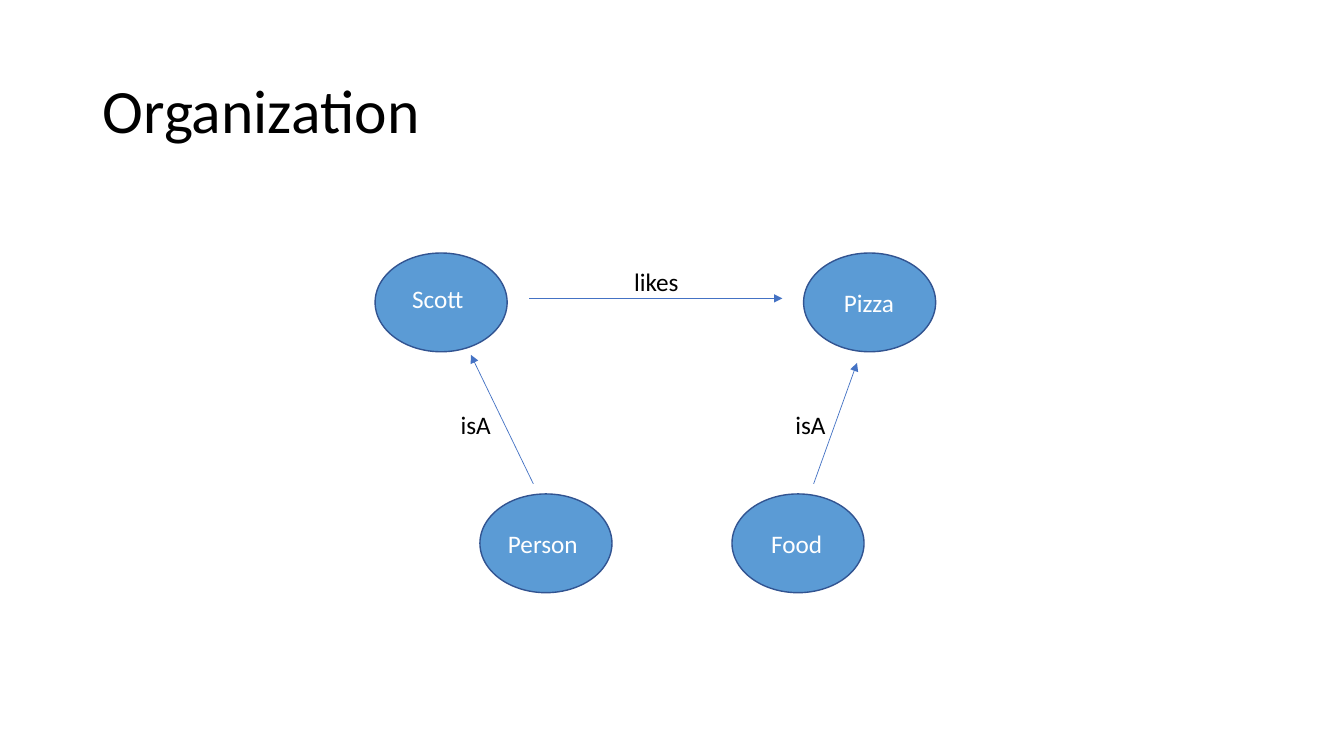
from lxml import etree
from pptx import Presentation
from pptx import util as u
from pptx.dml.color import RGBColor
from pptx.enum import shapes, text
from pptx.oxml.ns import qn

WIDTH, HEIGHT = 13.33, 7.5
BLACK, WHITE = "000000", "FFFFFF"
NODE_FILL, NODE_LINE, ARROW = "5B9BD5", "325491", "4472C4"
NODE_W, NODE_H, LABEL_H = 1.31, 0.98, 0.4
TOP_ROW, BOTTOM_ROW = 2.51, 4.9

TITLE = ("Organization", 0.92, 0.4, 11.5, 1.45)
NODES = [(3.72, TOP_ROW), (7.97, TOP_ROW), (4.76, BOTTOM_ROW), (7.26, BOTTOM_ROW)]
ARROWS = [
    (5.25, 2.96, 7.76, 2.96),
    (5.29, 4.8, 4.67, 3.52),
    (8.07, 4.8, 8.5, 3.6),
]
LABELS = [
    ("Scott", 3.99, 2.76, 0.77, WHITE),
    ("Pizza", 8.27, 2.8, 0.72, WHITE),
    ("Person", 4.94, 5.19, 0.94, WHITE),
    ("Food", 7.55, 5.19, 0.74, WHITE),
    ("likes", 6.19, 2.59, 0.84, BLACK),
    ("isA", 4.47, 4.01, 0.78, BLACK),
    ("isA", 7.79, 4.01, 0.78, BLACK),
]


def color(value):
    return RGBColor.from_string(value)


def inches(*lengths):
    return [u.Inches(length) for length in lengths]


def add_node(s, x, y):
    sp = s.shapes.add_shape(shapes.MSO_SHAPE.OVAL, *inches(x, y, NODE_W, NODE_H))
    sp.shadow.inherit = False
    sp.fill.solid()
    sp.fill.fore_color.rgb = color(NODE_FILL)
    sp.line.color.rgb = color(NODE_LINE)
    sp.line.width = u.Pt(1)


def add_arrow(s, *ends):
    cx = s.shapes.add_connector(shapes.MSO_CONNECTOR.STRAIGHT, *inches(*ends))
    cx.line.color.rgb = color(ARROW)
    cx.line.width = u.Pt(0.5)
    etree.SubElement(cx.line._get_or_add_ln(), qn("a:tailEnd"), type="triangle")
    etree.SubElement(cx._element.spPr, qn("a:effectLst"))


def add_text(s, words, x, y, w, h, size, fill):
    tf = s.shapes.add_textbox(*inches(x, y, w, h)).text_frame
    tf.word_wrap = True
    p = tf.paragraphs[0]
    p.text = words
    p.font.name = "Calibri"
    p.font.size = u.Pt(size)
    p.font.color.rgb = color(fill)
    return tf


def main():
    prs = Presentation()
    prs.slide_width, prs.slide_height = inches(WIDTH, HEIGHT)
    s = prs.slides.add_slide(prs.slide_layouts[6])

    tf = add_text(s, *TITLE, 44, BLACK)
    tf.vertical_anchor = text.MSO_ANCHOR.MIDDLE
    tf.paragraphs[0].line_spacing = 0.9

    for node in NODES:
        add_node(s, *node)
    for ends in ARROWS:
        add_arrow(s, *ends)
    for words, x, y, w, fill in LABELS:
        add_text(s, words, x, y, w, LABEL_H, 18, fill)

    prs.save("out.pptx")


if __name__ == "__main__":
    main()
